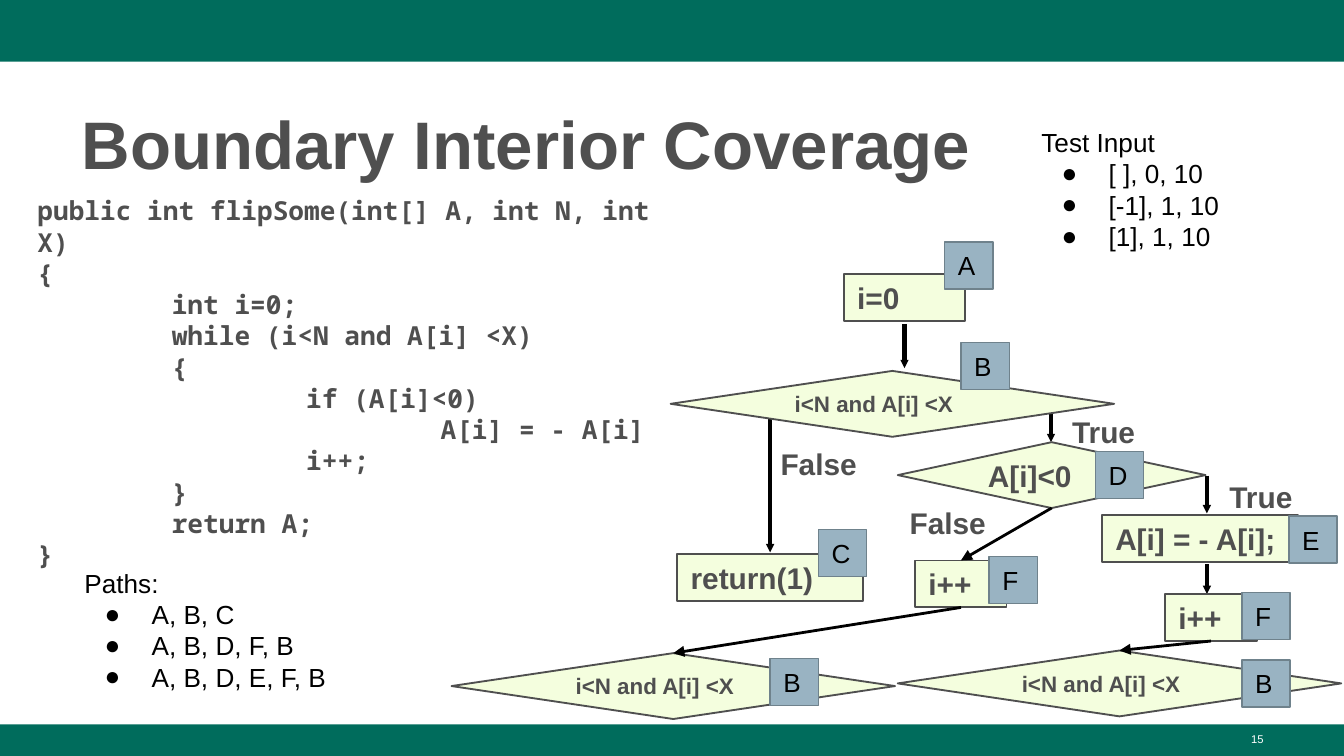
from lxml import etree
from pptx import Presentation
from pptx.dml.color import RGBColor
from pptx.enum.shapes import MSO_CONNECTOR, MSO_SHAPE
from pptx.enum.text import MSO_ANCHOR, MSO_AUTO_SIZE, PP_ALIGN
from pptx.oxml.ns import qn
from pptx.util import Inches, Pt

RECT, DIAMOND = MSO_SHAPE.RECTANGLE, MSO_SHAPE.DIAMOND
STRAIGHT = MSO_CONNECTOR.STRAIGHT
TOP, MIDDLE = MSO_ANCHOR.TOP, MSO_ANCHOR.MIDDLE
LEFT, RIGHT = PP_ALIGN.LEFT, PP_ALIGN.RIGHT
TOP_SIDE, BOTTOM_SIDE = 0, 2

SLIDE_WIDTH = 10
SLIDE_HEIGHT = SLIDE_WIDTH * 9 / 16

COLORS = {
    "green": "006C5C", "white": "FFFFFF", "black": "000000", "gray": "4F4F4F",
    "node": "F4FEDE", "badge": "99B3C2", "badge_line": "6F828C",
}
SANS, MONO = "Arial", "Noto Sans Mono"

CODE = [
    "public int flipSome(int[] A, int N, int X)",
    "{",
    "\tint i=0;",
    "\twhile (i<N and A[i] <X)",
    "\t{",
    "\t\tif (A[i]<0)",
    "\t\t\tA[i] = - A[i];",
    "\t\ti++;",
    "\t}",
    "\treturn A;",
    "}",
]

# Flow chart positions are relative to its panel.
LOOP_TEST = "i<N and A[i] <X"
NODES = {  # name: (shape, x, y, width, text, size)
    "start": (RECT, 1.51, 0.32, 0.9, "i=0", 16),
    "loop": (DIAMOND, 0.22, 1.04, 3.3, LOOP_TEST, 12),
    "if": (DIAMOND, 1.91, 1.57, 2.29, "A[i]<0", 16),
    "negate": (RECT, 3.43, 2.11, 1.46, "A[i] = - A[i];", 16),
    "return": (RECT, 0.27, 2.4, 1.38, "return(1)", 16),
    "left step": (RECT, 2.04, 2.45, 0.68, "i++", 16),
    "right step": (RECT, 3.9, 2.7, 0.68, "i++", 16),
    "left loop": (DIAMOND, -1.41, 3.14, 3.3, LOOP_TEST, 12),
    "right loop": (DIAMOND, 1.91, 3.12, 3.3, LOOP_TEST, 12),
}
NODE_HEIGHT = {RECT: 0.35, DIAMOND: 0.49}
DOWN_ARROWS = [  # x, y from, y to
    (3.05, 1.29, 1.57), (0.96, 1.29, 2.39), (1.96, 0.69, 1.02),
    (4.21, 1.82, 2.1), (4.21, 2.48, 2.7),
]
LINKS = [("if", "left step"), ("left step", "left loop"), ("right step", "right loop")]
BRANCH_LABELS = [  # text, x, y, width
    ("True", 3.11, 1.31, 0.9), ("False", 0.94, 1.55, 0.9),
    ("True", 4.28, 1.79, 0.9), ("False", 1.9, 1.99, 0.82),
]
BADGES = [
    ("A", 2.26, 0.08), ("B", 2.38, 0.83), ("C", 1.32, 2.22), ("D", 3.38, 1.64),
    ("E", 4.82, 2.12), ("F", 2.59, 2.42), ("F", 4.47, 2.69), ("B", 0.96, 3.18),
    ("B", 4.47, 3.19),
]


def rgb(name):
    return RGBColor.from_string(COLORS[name])


def setup_frame(tf, anchor=TOP, inset=0.05):
    tf.word_wrap = True
    tf.auto_size = MSO_AUTO_SIZE.NONE
    tf.vertical_anchor = anchor
    tf.margin_left = tf.margin_right = Inches(0.1)
    tf.margin_top = tf.margin_bottom = Inches(inset)


def add_run(p, text, size, color="gray", bold=False, font=SANS, align=LEFT):
    p.alignment = align
    r = p.add_run()
    r.text = text
    r.font.size, r.font.name, r.font.bold = Pt(size), font, bold
    r.font.color.rgb = rgb(color)


def add_text_box(slide, x, y, w, h, inset=0.05):
    tf = slide.shapes.add_textbox(Inches(x), Inches(y), Inches(w), Inches(h)).text_frame
    setup_frame(tf, inset=inset)
    return tf


def add_box(slide, shape, x, y, w, h, fill, line=None, line_width=1):
    sp = slide.shapes.add_shape(shape, Inches(x), Inches(y), Inches(w), Inches(h))
    sp.shadow.inherit = False
    sp.fill.solid()
    sp.fill.fore_color.rgb = rgb(fill)
    if line:
        sp.line.color.rgb = rgb(line)
        sp.line.width = Pt(line_width)
    else:
        sp.line.fill.background()
    return sp


def add_arrow(slide, x1, y1, x2, y2, width, head="med"):
    arrow = slide.shapes.add_connector(STRAIGHT, Inches(x1), Inches(y1), Inches(x2), Inches(y2))
    arrow.line.color.rgb = rgb("black")
    arrow.line.width = Pt(width)
    ln = arrow.line._get_or_add_ln()
    etree.SubElement(ln, qn("a:tailEnd"), type="triangle", w=head, len=head)
    etree.SubElement(arrow._element.spPr, qn("a:effectLst"))
    return arrow


def add_title(slide, x, y, w, h):
    title = slide.shapes.title
    title.left, title.top, title.width, title.height = map(Inches, (x, y, w, h))
    tf = title.text_frame
    setup_frame(tf, MIDDLE)
    tf.margin_right = Inches(0.05)
    p = tf.paragraphs[0]
    p.line_spacing = 1.08
    add_run(p, "Boundary Interior Coverage", 36, bold=True)


def add_code(slide, x, y, w, h):
    tf = add_text_box(slide, x, y, w, h)
    for i, line in enumerate(CODE):
        p = tf.add_paragraph() if i else tf.paragraphs[0]
        tabs = etree.SubElement(p._p.get_or_add_pPr(), qn("a:tabLst"))
        for stop in (1, 2, 3):
            etree.SubElement(tabs, qn("a:tab"), pos=str(Inches(stop)), algn="l")
        p.line_spacing = Pt(16.75)
        add_run(p, line, 14, bold=True, font=MONO)


def add_bullet_list(slide, x, y, w, h, heading, items):
    tf = add_text_box(slide, x, y, w, h, inset=0.1)
    add_run(tf.paragraphs[0], heading, 14, "black")
    for item in items:
        p = tf.add_paragraph()
        pPr = p._p.get_or_add_pPr()
        pPr.set("marL", str(Inches(0.5)))
        pPr.set("indent", str(Inches(-0.35)))
        color = etree.SubElement(pPr, qn("a:buClr"))
        etree.SubElement(color, qn("a:srgbClr"), val=COLORS["black"])
        etree.SubElement(pPr, qn("a:buFont"), typeface=SANS)
        etree.SubElement(pPr, qn("a:buChar"), char="●")
        add_run(p, item, 14, "black")


def add_flow_chart(slide, x, y, w, h):
    add_box(slide, RECT, x, y, w, h, "white")
    for dx, y1, y2 in DOWN_ARROWS:
        add_arrow(slide, x + dx, y + y1, x + dx, y + y2, 2.25, "sm")

    nodes = {}
    for name, (shape, dx, dy, width, text, size) in NODES.items():
        sp = add_box(slide, shape, x + dx, y + dy, width, NODE_HEIGHT[shape], "node", "gray")
        setup_frame(sp.text_frame, MIDDLE)
        add_run(sp.text_frame.paragraphs[0], text, size, bold=True)
        nodes[name] = sp

    for source, target in LINKS:
        arrow = add_arrow(slide, x, y, x, y, 1.5)
        arrow.begin_connect(nodes[source], BOTTOM_SIDE)
        arrow.end_connect(nodes[target], TOP_SIDE)

    for text, dx, dy, width in BRANCH_LABELS:
        tf = add_text_box(slide, x + dx, y + dy, width, 0.26)
        add_run(tf.paragraphs[0], text, 16, bold=True)

    for letter, dx, dy in BADGES:
        sp = add_box(slide, RECT, x + dx, y + dy, 0.36, 0.35, "badge", "badge_line", 0.75)
        setup_frame(sp.text_frame, MIDDLE, inset=0.1)
        add_run(sp.text_frame.paragraphs[0], letter, 14, "black")


def add_page_number(slide, x, y, w, h):
    tf = add_text_box(slide, x, y, w, h)
    add_run(tf.paragraphs[0], "15", 6, "white", align=RIGHT)


def main():
    prs = Presentation()
    prs.slide_width, prs.slide_height = Inches(SLIDE_WIDTH), Inches(SLIDE_HEIGHT)
    slide = prs.slides.add_slide(prs.slide_layouts[5])
    add_box(slide, RECT, 0, 0, SLIDE_WIDTH, 0.46, "green")
    add_box(slide, RECT, 0, 5.39, SLIDE_WIDTH, SLIDE_HEIGHT - 5.39, "green")
    add_title(slide, 0.51, 0.67, 8.99, 0.73)
    add_code(slide, 0.18, 1.4, 5.02, 2.35)
    add_page_number(slide, 7.17, 5.4, 2.33, 0.23)
    add_flow_chart(slide, 4.77, 1.72, 5.23, 2.96)
    add_bullet_list(slide, 0.53, 4.12, 2.83, 1.14, "Paths:",
                    ["A, B, C", "A, B, D, F, B", "A, B, D, E, F, B"])
    add_bullet_list(slide, 7.65, 0.84, 1.99, 1.14, "Test Input",
                    ["[ ], 0, 10", "[-1], 1, 10", "[1], 1, 10"])
    prs.save("out.pptx")


if __name__ == "__main__":
    main()
